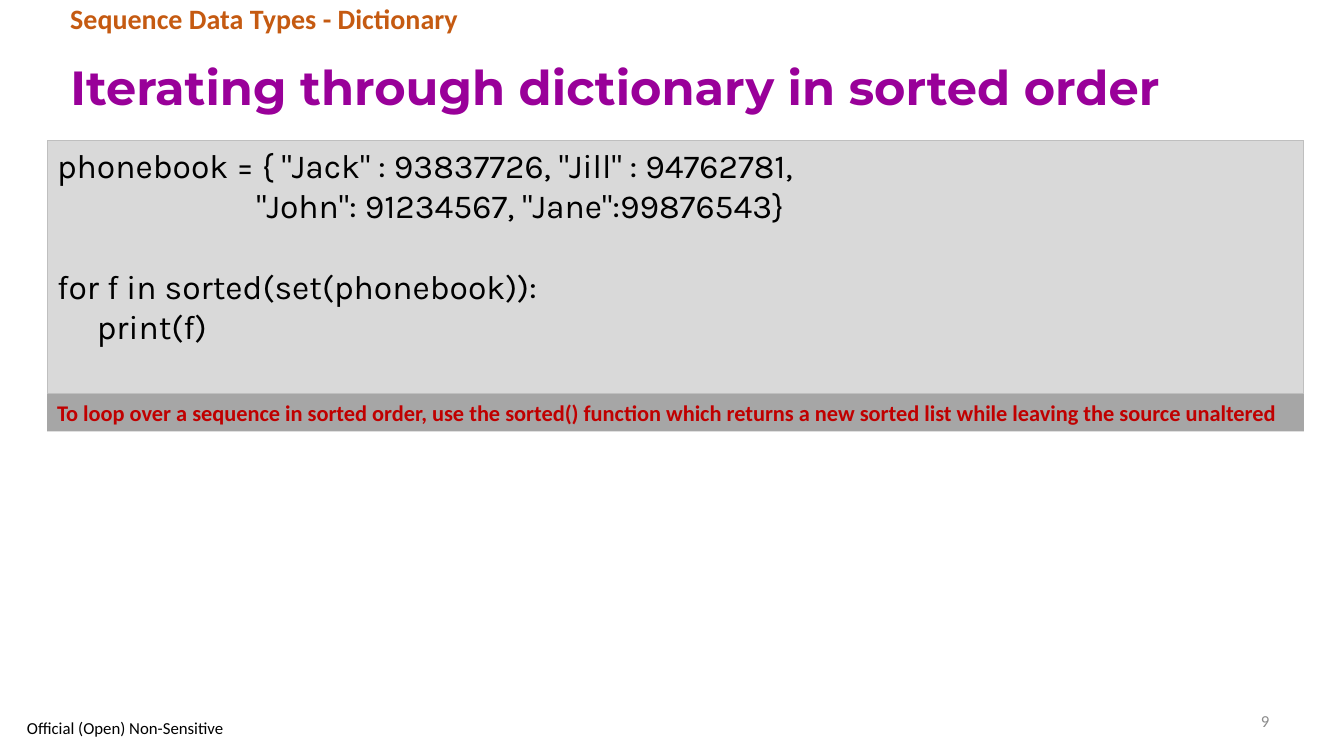
"""Build the slide on iterating through a dictionary in sorted order."""
from pptx import Presentation
from pptx import util as u
from pptx.dml.color import RGBColor
from pptx.enum import shapes, text

PURPLE = RGBColor(0x99, 0x00, 0x99)
ORANGE = RGBColor(0xC5, 0x5A, 0x11)
RED = RGBColor(0xC0, 0x00, 0x00)
BLACK = RGBColor(0x00, 0x00, 0x00)
NUMBER_GREY = RGBColor(0x8C, 0x8C, 0x8C)
CODE_FILL = RGBColor(0xD9, 0xD9, 0xD9)
CODE_LINE = RGBColor(0xBF, 0xBF, 0xBF)
NOTE_FILL = RGBColor(0xA6, 0xA6, 0xA6)

PANEL_LEFT, PANEL_WIDTH = 1.19, 31.67
HEADING_LEFT = 1.52
CODE_LINES = [
    ('phonebook = { "Jack" : 93837726, "Jill" : 94762781,', 0, 0),
    ('"John": 91234567, "Jane":99876543}', 5.02, 0),
    ("for f in sorted(set(phonebook)):", 0, 28.8),
    ("print(f)", 1, 0),
]


def write(shape, lines, size, color, font="Calibri", bold=False,
          align=text.PP_ALIGN.LEFT, anchor=text.MSO_ANCHOR.TOP, spacing=1.0):
    """Fill a shape with (text, indent in cm, space before in pt) lines."""
    frame = shape.text_frame
    frame.word_wrap = True
    frame.auto_size = text.MSO_AUTO_SIZE.NONE
    frame.vertical_anchor = anchor
    if isinstance(lines, str):
        lines = [(lines, 0, 0)]
    for index, (content, indent, before) in enumerate(lines):
        paragraph = frame.add_paragraph() if index else frame.paragraphs[0]
        paragraph.alignment = align
        paragraph.line_spacing = spacing
        paragraph.space_before = u.Pt(before)
        if indent:
            paragraph._p.get_or_add_pPr().set("marL", str(u.Cm(indent)))
        run = paragraph.add_run()
        run.text = content
        run.font.name = font
        run.font.size = u.Pt(size)
        run.font.bold = bold
        run.font.color.rgb = color


def add_title(slide, content):
    """Place and format the title placeholder."""
    title = slide.shapes.title
    title.left, title.top = u.Cm(HEADING_LEFT), u.Cm(1.04)
    title.width, title.height = u.Cm(30.71), u.Cm(2.46)
    write(title, content, 34.2, PURPLE, font="Montserrat", bold=True,
          anchor=text.MSO_ANCHOR.MIDDLE, spacing=0.9)


def add_label(slide, content, left, top, width, height, **style):
    """Add a text box with one line of text."""
    label = slide.shapes.add_textbox(*map(u.Cm, (left, top, width, height)))
    write(label, content, **style)


def add_panel(slide, lines, top, height, fill, outline=None, **style):
    """Add a filled full-width panel with text."""
    panel = slide.shapes.add_shape(
        shapes.MSO_SHAPE.RECTANGLE,
        *map(u.Cm, (PANEL_LEFT, top, PANEL_WIDTH, height)))
    panel.shadow.inherit = False
    panel.fill.solid()
    panel.fill.fore_color.rgb = fill
    if outline is None:
        panel.line.fill.background()
    else:
        panel.line.color.rgb = outline
        panel.line.width = u.Pt(0.75)
    write(panel, lines, **style)


def main():
    """Build and save the presentation."""
    presentation = Presentation()
    presentation.slide_width, presentation.slide_height = u.Cm(33.87), u.Cm(19.05)
    slide = presentation.slides.add_slide(presentation.slide_layouts[5])
    middle = text.MSO_ANCHOR.MIDDLE

    add_title(slide, "Iterating through dictionary in sorted order")
    add_label(slide, "Sequence Data Types - Dictionary", HEADING_LEFT, 0, 26.26, 1.04,
              size=20, color=ORANGE, bold=True, spacing=0.9)
    add_panel(slide, CODE_LINES, 3.53, 6.4, CODE_FILL, CODE_LINE,
              size=24, color=BLACK, font="Karla")
    add_panel(slide, "To loop over a sequence in sorted order, use the sorted() function "
              "which returns a new sorted list while leaving the source unaltered",
              9.93, 0.94, NOTE_FILL, size=16, color=RED, bold=True)
    add_label(slide, "9", 23.93, 17.65, 8.31, 1.02, size=12, color=NUMBER_GREY,
              align=text.PP_ALIGN.RIGHT, anchor=middle)
    add_label(slide, "Official (Open) Non-Sensitive", 0.43, 18.01, 5.69, 0.66,
              size=12, color=BLACK, anchor=middle)
    presentation.save("out.pptx")


if __name__ == "__main__":
    main()
